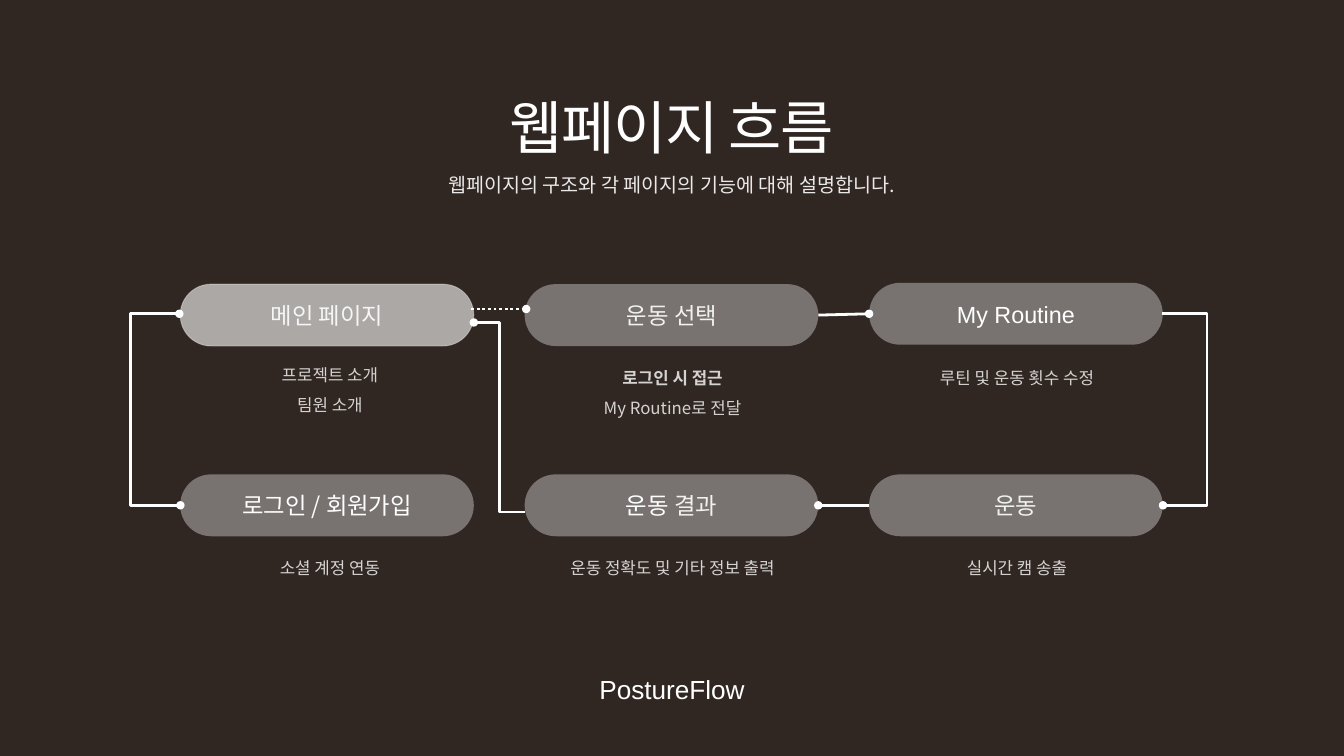
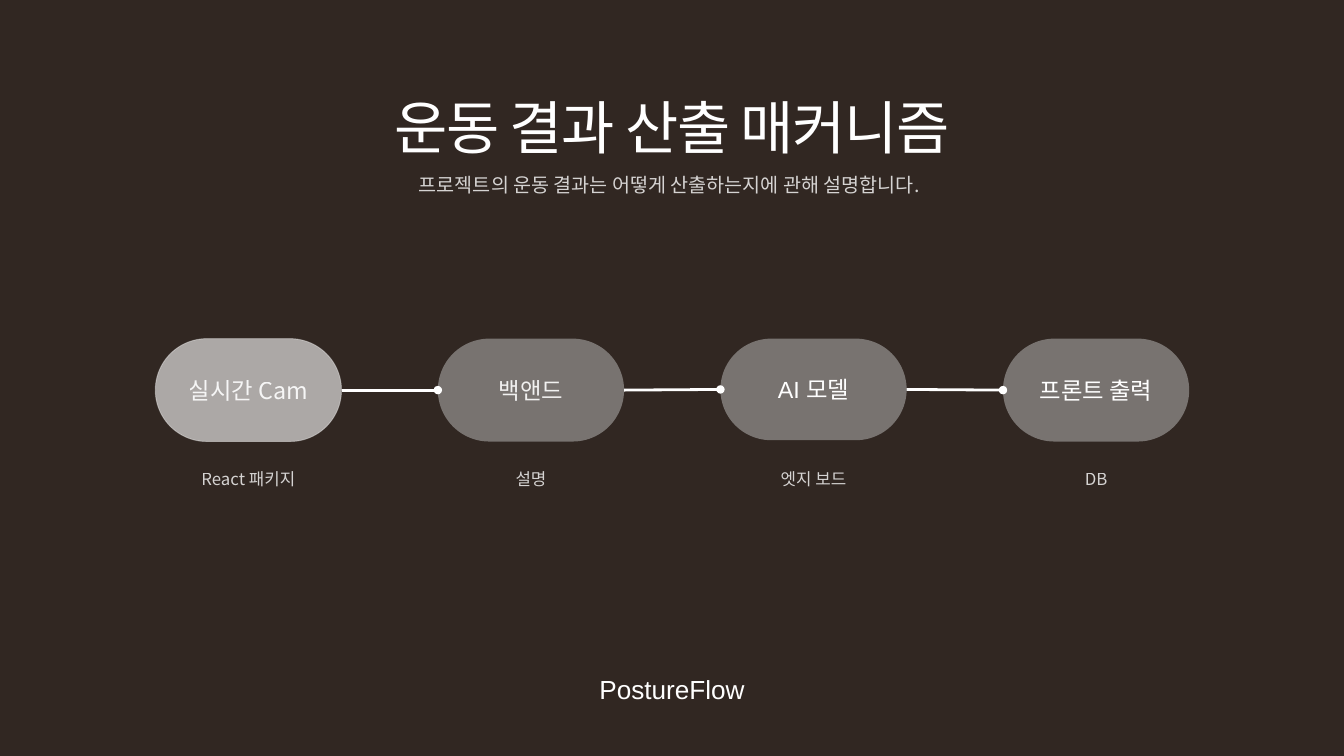
import dataclasses
import typing

import lxml.etree
import pptx
import pptx.dml.color
import pptx.enum.dml
import pptx.enum.shapes
import pptx.enum.text
import pptx.oxml.ns
import pptx.util

Cm = pptx.util.Cm
qn = pptx.oxml.ns.qn
ALIGN = pptx.enum.text.PP_ALIGN
KOREAN = "Noto Sans CJK KR"
LATIN = "Arial"


@dataclasses.dataclass(frozen=True)
class TextStyle:
    size: float
    font: str = KOREAN
    opacity: int = 100
    bold: bool = False
    tracking: float = 0


@dataclasses.dataclass(frozen=True)
class Theme:
    background: str = "312722"
    white: str = "FFFFFF"
    grey: str = "BFBFBF"
    line_width: float = 3
    footer: TextStyle = TextStyle(28, LATIN)
    title: TextStyle = TextStyle(62, tracking=-1.5)
    subtitle: TextStyle = TextStyle(21, opacity=90)
    soft_subtitle: TextStyle = TextStyle(21, opacity=80)
    node: TextStyle = TextStyle(25)
    soft_node: TextStyle = TextStyle(25, opacity=90)
    latin_node: TextStyle = TextStyle(25, LATIN)
    caption: TextStyle = TextStyle(18, opacity=80)
    strong_caption: TextStyle = TextStyle(18, opacity=80, bold=True)


THEME = Theme()
SLIDE_WIDTH = 50.8
SLIDE_HEIGHT = SLIDE_WIDTH * 9 / 16


class Run(typing.NamedTuple):
    text: str
    style: TextStyle


class Box(typing.NamedTuple):
    left: float
    top: float
    width: float
    height: float

    def lengths(self) -> list[pptx.util.Length]:
        return [Cm(value) for value in self]


class Node(typing.NamedTuple):
    """A rounded step of the flow with its caption below."""
    box: Box
    label: list[Run]
    captions: list[Run]
    caption_top: float
    caption_shift: float = 0
    highlighted: bool = False


class Elbow(typing.NamedTuple):
    start: tuple[float, float]
    end: tuple[float, float]
    turn_x: float
    dots: tuple[str, ...]


def rgb(value: str) -> pptx.dml.color.RGBColor:
    return pptx.dml.color.RGBColor.from_string(value)


def set_opacity(parent, route: str, percent: int) -> None:
    """Make the colour found at a slash-separated route of tags translucent."""
    if percent < 100:
        color = parent.find("/".join(qn(tag) for tag in route.split("/")))
        lxml.etree.SubElement(color, qn("a:alpha"), val=str(percent * 1000))


def write(paragraph, runs: list[Run], alignment=ALIGN.CENTER, line_spacing=None) -> None:
    formats = {"alignment": alignment, "line_spacing": line_spacing}
    for name, value in formats.items():
        setattr(paragraph, name, value)
    for text, style in runs:
        run = paragraph.add_run()
        run.text = text
        font_formats = {"name": style.font, "size": pptx.util.Pt(style.size), "bold": style.bold}
        for name, value in font_formats.items():
            setattr(run.font, name, value)
        run.font.color.rgb = rgb(THEME.white)
        properties = run._r.get_or_add_rPr()
        set_opacity(properties, "a:solidFill/a:srgbClr", style.opacity)
        lxml.etree.SubElement(properties, qn("a:ea"), typeface=style.font)
        if style.tracking:
            properties.set("spc", str(round(style.tracking * 100)))


def add_text(shapes, box: Box, lines: list[Run], wrap=True, **formats) -> None:
    """Add a text box with one paragraph for each run."""
    frame = shapes.add_textbox(*box.lengths()).text_frame
    frame.word_wrap = wrap
    frame.auto_size = pptx.enum.text.MSO_AUTO_SIZE.SHAPE_TO_FIT_TEXT
    for index, line in enumerate(lines):
        paragraph = frame.add_paragraph() if index else frame.paragraphs[0]
        write(paragraph, [line], **formats)


def centred(width: float, top: float, height: float) -> Box:
    return Box((SLIDE_WIDTH - width) / 2, top, width, height)


def add_base_slide(presentation, title: str, title_width: float):
    slide = presentation.slides.add_slide(presentation.slide_layouts[6])
    slide.background.fill.solid()
    slide.background.fill.fore_color.rgb = rgb(THEME.background)
    add_text(slide.shapes, centred(6.8, 25.32, 1.45), [Run("PostureFlow", THEME.footer)])
    add_text(slide.shapes, centred(title_width, 3.33, 2.9), [Run(title, THEME.title)])
    return slide


def add_subtitle(slide, run: Run, width: float, wrap: bool) -> None:
    add_text(slide.shapes, centred(width, 6.4, 1.14), [run], wrap, alignment=ALIGN.LEFT)


def add_pill(shapes, node: Node):
    kind = pptx.enum.shapes.MSO_SHAPE.ROUNDED_RECTANGLE
    pill = shapes.add_shape(kind, *node.box.lengths())
    pill.adjustments[0] = 0.5
    pill.shadow.inherit = False
    pill.fill.solid()
    pill.fill.fore_color.rgb = rgb(THEME.white if node.highlighted else THEME.grey)
    properties = pill._element.spPr
    set_opacity(properties, "a:solidFill/a:srgbClr", 60 if node.highlighted else 50)
    if node.highlighted:
        pill.line.color.rgb = rgb(THEME.white)
        pill.line.width = pptx.util.Pt(1)
        set_opacity(properties, "a:ln/a:solidFill/a:srgbClr", 35)
    else:
        pill.line.fill.background()
    pill.text_frame.word_wrap = True
    pill.text_frame.vertical_anchor = pptx.enum.text.MSO_ANCHOR.MIDDLE
    write(pill.text_frame.paragraphs[0], node.label)
    return pill


def add_caption(shapes, node: Node) -> None:
    width = 9.35
    left = node.box.left + (node.box.width - width) / 2 + node.caption_shift
    box = Box(left, node.caption_top, width, 0.1 + 1.17 * len(node.captions))
    add_text(shapes, box, node.captions, line_spacing=1.5)


def add_line(slide, kind, start, end, dots: tuple[str, ...], dash=None):
    """Add a white connector with round ends at the given headEnd / tailEnd."""
    connector = slide.shapes.add_connector(kind, *(Cm(value) for value in (*start, *end)))
    connector.line.color.rgb = rgb(THEME.white)
    connector.line.width = pptx.util.Pt(THEME.line_width)
    if dash:
        connector.line.dash_style = dash
    properties = connector._element.spPr
    for dot in dots:
        lxml.etree.SubElement(properties.find(qn("a:ln")), qn(f"a:{dot}"), type="oval")
    lxml.etree.SubElement(properties, qn("a:effectLst"))
    return connector


def join(slide, left_pill, right_pill, dot: str) -> None:
    """Link the right side of one pill with the left side of the next."""
    kind = pptx.enum.shapes.MSO_CONNECTOR.STRAIGHT
    connector = add_line(slide, kind, (0, 0), (1, 1), (dot,))
    connector.begin_connect(left_pill, 3)
    connector.end_connect(right_pill, 1)


def add_elbow(slide, elbow: Elbow) -> None:
    kind = pptx.enum.shapes.MSO_CONNECTOR.ELBOW
    connector = add_line(slide, kind, elbow.start, elbow.end, elbow.dots)
    start_x, end_x = elbow.start[0], elbow.end[0]
    turn = round((elbow.turn_x - start_x) / (end_x - start_x) * 100000)
    guides = connector._element.spPr.find(f"{qn('a:prstGeom')}/{qn('a:avLst')}")
    lxml.etree.SubElement(guides, qn("a:gd"), name="adj1", fmla=f"val {turn}")


def build_page_flow(presentation) -> None:
    slide = add_base_slide(presentation, "웹페이지 흐름", 17.14)

    def cell(column: int, top: float) -> Box:
        return Box(6.81 + 13.02 * column, top, 11.1, 2.34)

    upper, lower, lower_caption = 10.74, 17.93, 20.57
    soft, plain, caption = THEME.soft_node, THEME.node, THEME.caption
    nodes = [
        Node(cell(0, upper), [Run("메인 페이지", soft)],
             [Run("프로젝트 소개", caption), Run("팀원 소개", caption)], 13.28, 0.11, True),
        Node(cell(1, upper), [Run("운동 선택", soft)],
             [Run("로그인 시 접근", THEME.strong_caption), Run("My Routine로 전달", caption)],
             13.39, 0.04),
        Node(cell(2, 10.69), [Run("My Routine", THEME.latin_node)],
             [Run("루틴 및 운동 횟수 수정", caption)], 13.39, 0.04),
        Node(cell(2, lower), [Run("운동", soft)],
             [Run("실시간 캠 송출", caption)], lower_caption, 0.04),
        Node(cell(1, lower), [Run("운동 ", plain), Run("결과", soft)],
             [Run("운동 정확도 및 기타 정보 출력", caption)], lower_caption, 0.04),
        Node(cell(0, lower), [Run("로그인 / 회원가입", plain)],
             [Run("소셜 계정 연동", caption)], lower_caption, 0.11),
    ]
    _, selection, routine, exercise, result, _ = [add_pill(slide.shapes, node) for node in nodes]
    for node in nodes:
        add_caption(slide.shapes, node)

    add_line(slide, pptx.enum.shapes.MSO_CONNECTOR.STRAIGHT, (17.81, 11.68), (19.89, 11.68),
             ("tailEnd",), pptx.enum.dml.MSO_LINE.ROUND_DOT)
    join(slide, selection, routine, "tailEnd")
    join(slide, result, exercise, "headEnd")
    for elbow in (
        Elbow((43.92, 11.86), (43.96, 19.1), 45.62, ("tailEnd",)),
        Elbow((17.91, 12.19), (19.84, 19.35), 18.87, ("headEnd",)),
        Elbow((6.78, 11.86), (6.82, 19.1), 4.93, ("headEnd", "tailEnd")),
    ):
        add_elbow(slide, elbow)
    add_subtitle(slide, Run("웹페이지의 구조와 각 페이지의 기능에 대해 설명합니다.", THEME.subtitle),
                 17.4, True)


def build_result_mechanism(presentation) -> None:
    slide = add_base_slide(presentation, "운동 결과 산출 매커니즘", 25.78)
    steps = [
        ([Run("실시간 Cam", THEME.soft_node)], "React 패키지", 3.89),
        ([Run("백앤드", THEME.soft_node)], "설명", 3.89),
        ([Run("AI ", THEME.latin_node), Run("모델", THEME.node)], "엣지 보드", 3.84),
        ([Run("프론트 출력", THEME.node)], "DB", 3.89),
    ]
    pills = []
    for index, (label, caption, height) in enumerate(steps):
        node = Node(Box(5.87 + 10.68 * index, 12.8, 7.04, height), label,
                    [Run(caption, THEME.caption)], 17.22, highlighted=index == 0)
        group = slide.shapes.add_group_shape()
        pills.append(add_pill(group.shapes, node))
        add_caption(group.shapes, node)
    for left_pill, right_pill in zip(pills, pills[1:]):
        join(slide, left_pill, right_pill, "tailEnd")
    add_subtitle(slide, Run("프로젝트의 운동 결과는 어떻게 산출하는지에 관해 설명합니다.",
                            THEME.soft_subtitle), 19.63, False)


def main() -> None:
    presentation = pptx.Presentation()
    presentation.slide_width = Cm(SLIDE_WIDTH)
    presentation.slide_height = Cm(SLIDE_HEIGHT)
    build_page_flow(presentation)
    build_result_mechanism(presentation)
    presentation.save("out.pptx")


if __name__ == "__main__":
    main()
